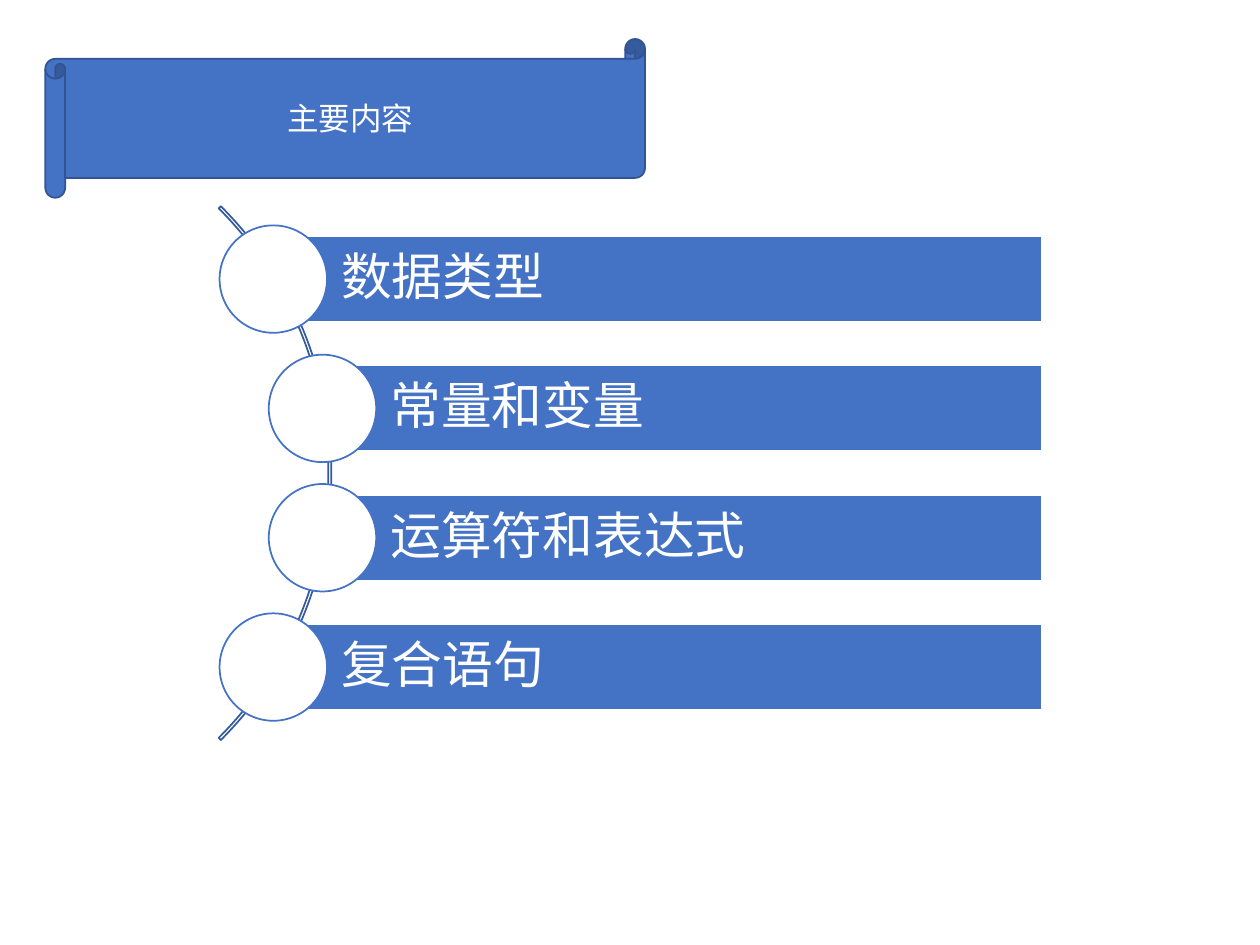
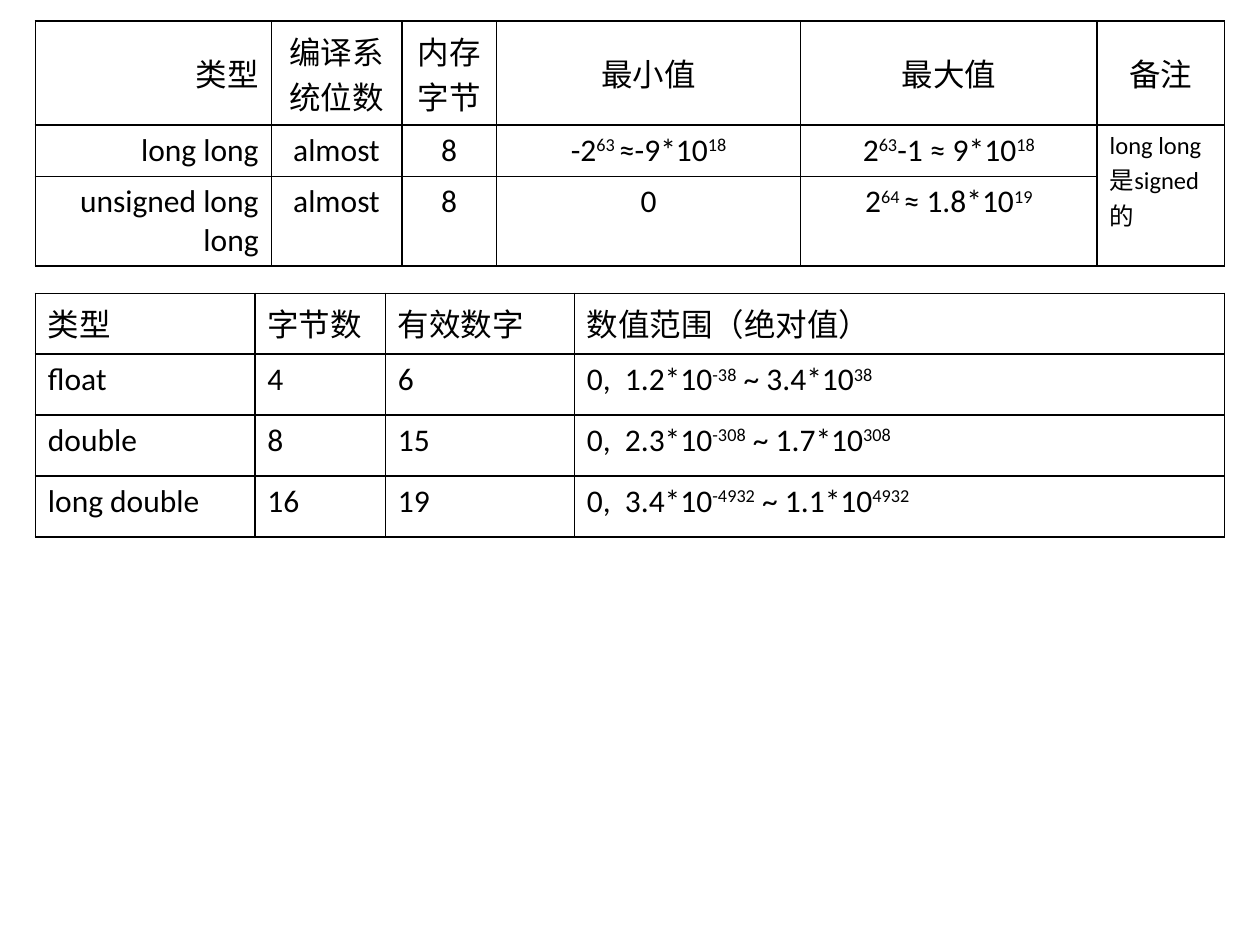
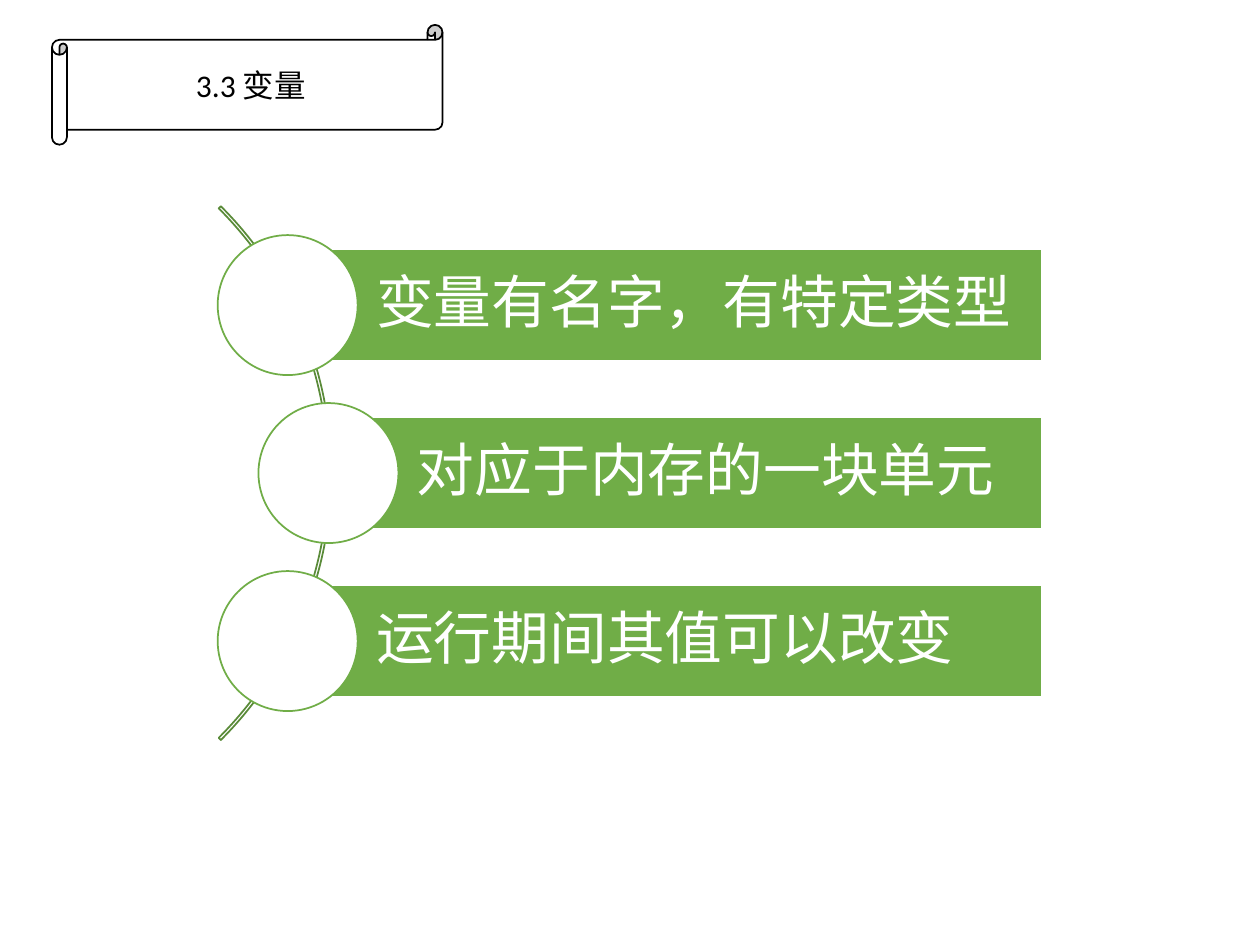
from lxml import etree
from pptx import Presentation
from pptx.dml.color import RGBColor
from pptx.enum.shapes import MSO_SHAPE
from pptx.enum.text import MSO_ANCHOR, PP_ALIGN
from pptx.oxml.ns import qn
from pptx.util import Pt

SCROLL, ARC = MSO_SHAPE.HORIZONTAL_SCROLL, MSO_SHAPE.BLOCK_ARC
RECTANGLE, OVAL = MSO_SHAPE.RECTANGLE, MSO_SHAPE.OVAL
LEFT, CENTER, RIGHT = PP_ALIGN.LEFT, PP_ALIGN.CENTER, PP_ALIGN.RIGHT
TOP, MIDDLE = MSO_ANCHOR.TOP, MSO_ANCHOR.MIDDLE

COLORS = {
    "white": "FFFFFF",
    "black": "000000",
    "blue": "4472C4",
    "scroll edge": "325491",
    "blue arc": "365B9D",
    "green": "70AD47",
    "green arc": "5A8B39",
}
FONT = "Calibri"
BODY_SIZE = 18
LIST_MIDDLE = 270.35   # vertical centre of the curved lists
LIST_RIGHT = 595.4     # right edge of their bars
ARC_LEFT, ARC_SIZE = -241.9, 431.3


def rgb(name):
    return RGBColor.from_string(COLORS[name])


class SlideBuilder:
    """Holds the shared style and the slide being filled."""

    def __init__(self):
        self.deck = Presentation()
        self.deck.slide_width, self.deck.slide_height = Pt(720), Pt(540)
        self.page = None

    def new_page(self):
        self.page = self.deck.slides.add_slide(self.deck.slide_layouts[6])

    def shape(self, kind, left, top, width, height, fill, line):
        box = self.page.shapes.add_shape(kind, Pt(left), Pt(top), Pt(width), Pt(height))
        box.shadow.inherit = False
        if fill:
            box.fill.solid()
            box.fill.fore_color.rgb = rgb(fill)
        else:
            box.fill.background()
        box.line.color.rgb = rgb(line)
        box.line.width = Pt(1)
        return box

    def paragraph(self, frame, text, size, color, align):
        """Fill the first paragraph; text between carets is superscript."""
        para = frame.paragraphs[0]
        para.alignment = align
        for index, piece in enumerate(text.split("^")):
            if not piece:
                continue
            span = para.add_run()
            span.text = piece
            span.font.name, span.font.size = FONT, Pt(size)
            span.font.color.rgb = rgb(color)
            if index % 2:
                span._r.get_or_add_rPr().set("baseline", "30000")
        return para

    def title_scroll(self, text, left, top, width, height, fill, line, color):
        box = self.shape(SCROLL, left, top, width, height, fill, line)
        box.text_frame.vertical_anchor = MIDDLE
        self.paragraph(box.text_frame, text, BODY_SIZE, color, CENTER)

    def curved_list(self, items, pitch, bar_height, circle, size, color, arc_color):
        """Bars with circles strung along an arc; items are (bar left, text)."""
        arc = self.shape(ARC, ARC_LEFT, LIST_MIDDLE - ARC_SIZE / 2,
                         ARC_SIZE, ARC_SIZE, None, arc_color)
        for index, value in enumerate((189, 27, 0.004)):
            arc.adjustments[index] = value
        first = LIST_MIDDLE - pitch * (len(items) - 1) / 2
        for index, (left, text) in enumerate(items):
            middle = first + index * pitch
            bar = self.shape(RECTANGLE, left, middle - bar_height / 2,
                             LIST_RIGHT - left, bar_height, color, "white")
            frame = bar.text_frame
            frame.vertical_anchor = MIDDLE
            frame.margin_left = Pt(0.79 * bar_height)
            frame.margin_top = frame.margin_right = frame.margin_bottom = Pt(0.2 * size)
            self.paragraph(frame, text, size, "white", LEFT).line_spacing = 0.9
            self.shape(OVAL, left - circle / 2, middle - circle / 2,
                       circle, circle, "white", color)

    def grid(self, left, top, widths, heights):
        table = self.page.shapes.add_table(
            len(heights), len(widths), Pt(left), Pt(top),
            Pt(sum(widths)), Pt(sum(heights))).table
        table.first_row = table.horz_banding = False
        for column, width in zip(table.columns, widths):
            column.width = Pt(width)
        for row, height in zip(table.rows, heights):
            row.height = Pt(height)
        for cell in table.iter_cells():
            self.border(cell)
            cell.fill.background()
        return table

    def border(self, cell):
        properties = cell._tc.get_or_add_tcPr()
        for side in ("a:lnL", "a:lnR", "a:lnT", "a:lnB"):
            line = etree.SubElement(properties, qn(side), w=str(Pt(1)))
            fill = etree.SubElement(line, qn("a:solidFill"))
            etree.SubElement(fill, qn("a:srgbClr"), val=COLORS["black"])

    def cell_text(self, cell, text, align=LEFT, anchor=TOP, size=BODY_SIZE):
        cell.vertical_anchor = anchor
        self.paragraph(cell.text_frame, text, size, "black", align)


def contents_page(builder):
    builder.new_page()
    builder.title_scroll("主要内容", 25.9, 22.3, 342.7, 90.7,
                         "blue", "scroll edge", "white")
    builder.curved_list(
        [(156.2, "数据类型"), (184.3, "常量和变量"),
         (184.3, "运算符和表达式"), (156.2, "复合语句")],
        73.9, 49, 61.4, 29, "blue", "blue arc")


def types_page(builder):
    builder.new_page()

    # Integer types
    rows = [
        ["类型", "编译系统位数", "内存字节", "最小值", "最大值", "备注"],
        ["long long", "almost", "8", "-2^63 ^≈-9*10^18^", "2^63^-1 ≈ 9*10^18^"],
        ["unsigned long long", "almost", "8", "0", "2^64 ^≈ 1.8*10^19^"],
    ]
    table = builder.grid(20.2, 12, [134.8, 74.6, 54.2, 173.7, 169.5, 72.9],
                         [59.5, 29.3, 41.5])
    for y, row in enumerate(rows):
        for x, text in enumerate(row):
            builder.cell_text(table.cell(y, x), text, CENTER if x else RIGHT,
                              TOP if y else MIDDLE)
    remark = table.cell(1, 5)
    remark.merge(table.cell(2, 5))
    builder.cell_text(remark, "long long 是signed的", size=14)

    # Floating-point types
    rows = [
        ["类型", "字节数", "有效数字", "数值范围（绝对值）"],
        ["float", "4", "6", "0,  1.2*10^-38^ ~ 3.4*10^38^"],
        ["double", "8", "15", "0,  2.3*10^-308^ ~ 1.7*10^308^"],
        ["long double", "16", "19", "0,  3.4*10^-4932^ ~ 1.1*10^4932^"],
    ]
    table = builder.grid(20.2, 167.6, [125.4, 74.6, 108, 371.7],
                         [34.8] * len(rows))
    for y, row in enumerate(rows):
        for x, text in enumerate(row):
            builder.cell_text(table.cell(y, x), text)


def variables_page(builder):
    builder.new_page()
    builder.title_scroll("3.3 变量", 29.7, 14.2, 223.2, 68.5,
                         "white", "black", "black")
    builder.curved_list(
        [(164.4, "变量有名字，有特定类型"), (187.7, "对应于内存的一块单元"),
         (164.4, "运行期间其值可以改变")],
        96, 64, 80, 33, "green", "green arc")


def main():
    builder = SlideBuilder()
    contents_page(builder)
    types_page(builder)
    variables_page(builder)
    builder.deck.save("out.pptx")


if __name__ == "__main__":
    main()
